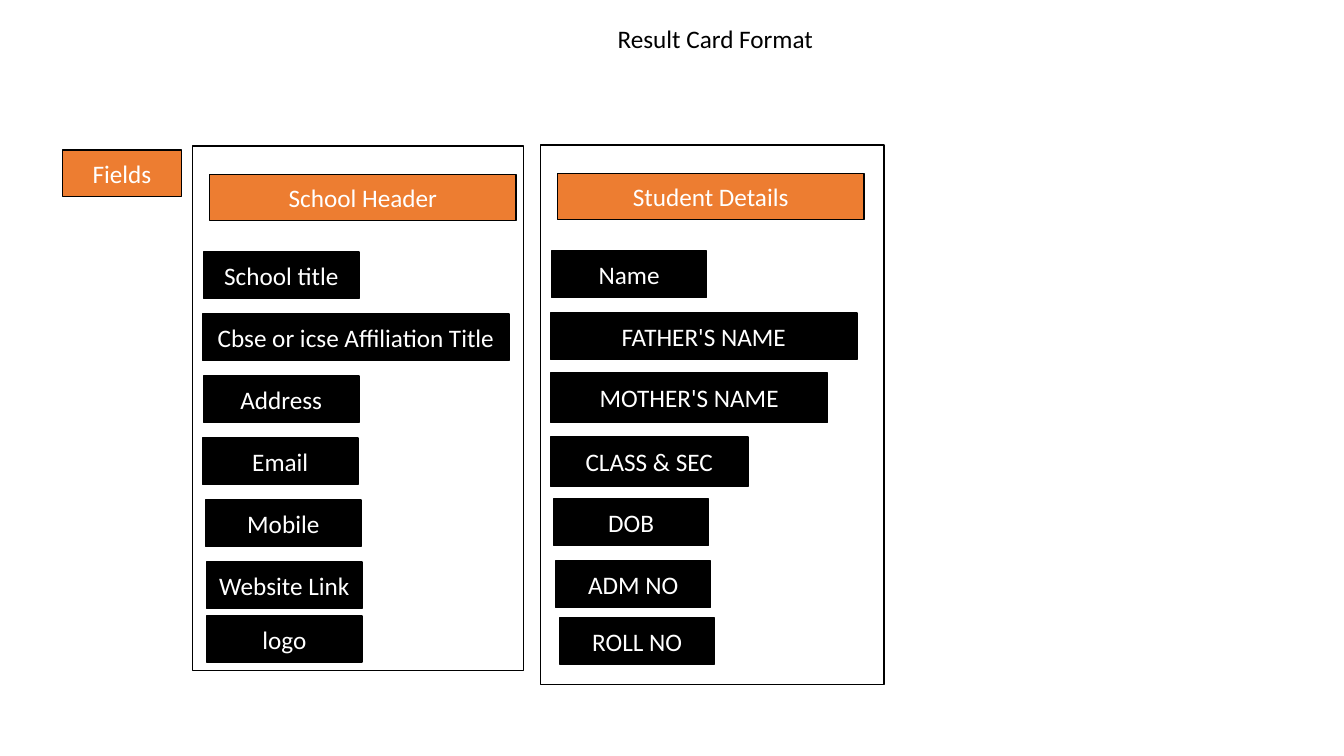
from pptx import Presentation
from pptx.dml.color import RGBColor
from pptx.enum.shapes import MSO_SHAPE
from pptx.enum.text import MSO_ANCHOR, PP_ALIGN
from pptx.util import Inches, Pt

COLORS = {"black": "000000", "white": "FFFFFF", "orange": "ED7D31"}
FONT = "Calibri"
ROW_TOP, ROW_STEP = 1.05, 0.615
ROW_H, TALL = 0.46, 0.49
SHORT, WIDE = 1.54, 3.04

# Rows: text, indent, width, height, shift from the even row spacing
SCHOOL = [
    ("School title", 0.11, SHORT, ROW_H, 0),
    ("Cbse or icse Affiliation Title", 0.1, WIDE, ROW_H, 0),
    ("Address", 0.11, SHORT, ROW_H, 0),
    ("Email", 0.1, SHORT, ROW_H, 0),
    ("Mobile", 0.13, SHORT, ROW_H, 0),
    ("Website Link", 0.14, SHORT, ROW_H, 0),
    ("logo", 0.14, SHORT, ROW_H, -0.08),
]
STUDENT = [
    ("Name", 0.11, SHORT, ROW_H, 0),
    ("FATHER'S NAME", 0.1, WIDE, ROW_H, 0),
    ("MOTHER'S NAME", 0.1, 2.75, TALL, -0.02),
    ("CLASS & SEC", 0.1, 1.96, TALL, 0),
    ("DOB", 0.13, SHORT, ROW_H, 0),
    ("ADM NO", 0.15, SHORT, ROW_H, 0),
    ("ROLL NO", 0.19, SHORT, ROW_H, -0.05),
]


def color(name):
    return RGBColor.from_string(COLORS[name])


def write(frame, text, ink, anchor):
    frame.text = text
    frame.word_wrap = True
    frame.vertical_anchor = anchor
    line = frame.paragraphs[0]
    line.alignment = PP_ALIGN.CENTER
    font = line.runs[0].font
    font.name, font.size = FONT, Pt(18)
    font.color.rgb = color(ink)


def add_box(slide, box, fill=None, text=None):
    shape = slide.shapes.add_shape(MSO_SHAPE.RECTANGLE, *map(Inches, box))
    shape.shadow.inherit = False
    shape.line.color.rgb = color("black")
    shape.line.width = Pt(1)
    if fill:
        shape.fill.solid()
        shape.fill.fore_color.rgb = color(fill)
    else:
        shape.fill.background()
    if text:
        write(shape.text_frame, text, "white", MSO_ANCHOR.MIDDLE)


def add_title(slide, box, text):
    title = slide.shapes.title
    title.left, title.top, title.width, title.height = map(Inches, box)
    write(title.text_frame, text, "black", MSO_ANCHOR.TOP)


def add_panel(slide, box, head, rows):
    left, top = box[:2]
    # Frame and heading
    add_box(slide, box)
    add_box(slide, (left + 0.17, top + 0.28, WIDE, ROW_H), "orange", head)
    # Field rows
    for i, (text, indent, width, height, shift) in enumerate(rows):
        y = top + ROW_TOP + i * ROW_STEP + shift
        add_box(slide, (left + indent, y, width, height), "black", text)


def main():
    deck = Presentation()
    deck.slide_width, deck.slide_height = Inches(13.33), Inches(7.5)
    slide = deck.slides.add_slide(deck.slide_layouts[5])
    add_title(slide, (3.55, 0.18, 7.09, 0.4), "Result Card Format")
    add_box(slide, (0.62, 1.49, 1.18, ROW_H), "orange", "Fields")
    add_panel(slide, (1.91, 1.45, 3.28, 5.2), "School Header", SCHOOL)
    add_panel(slide, (5.36, 1.44, 3.41, 5.35), "Student Details", STUDENT)
    deck.save("out.pptx")


if __name__ == "__main__":
    main()
